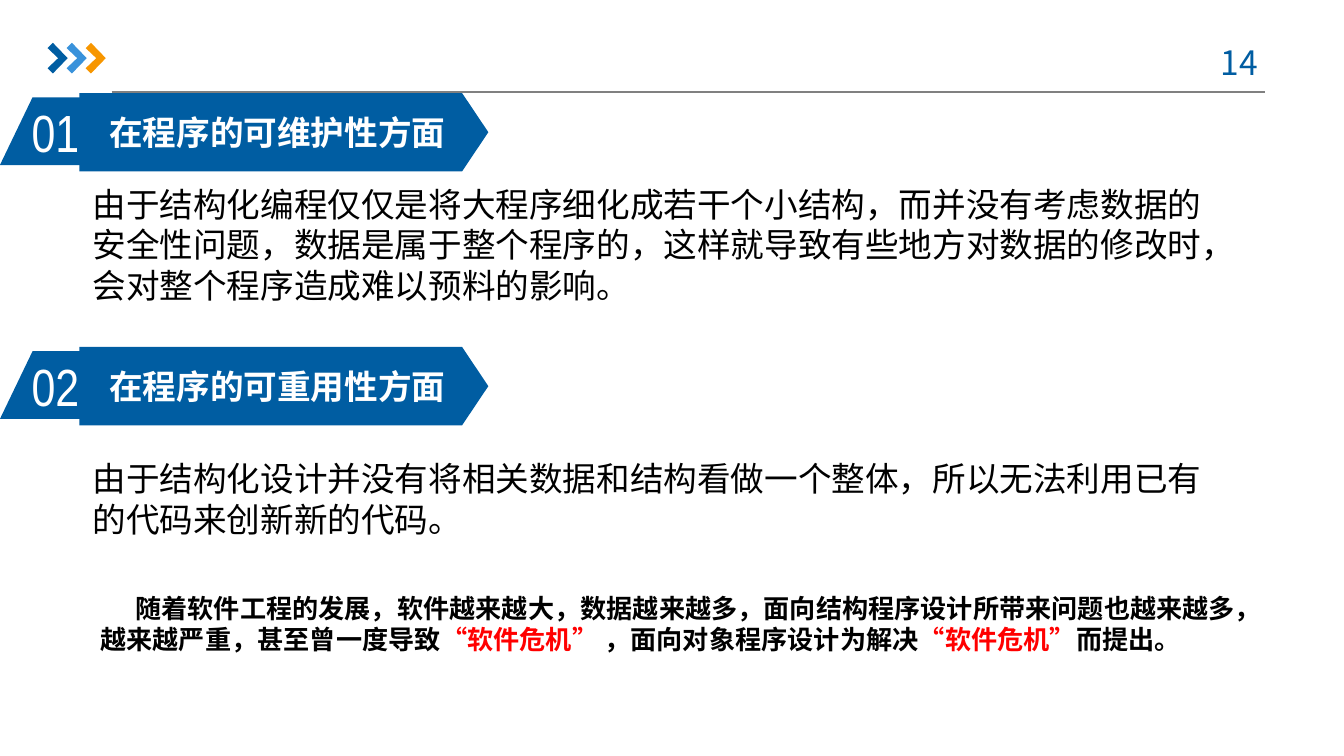
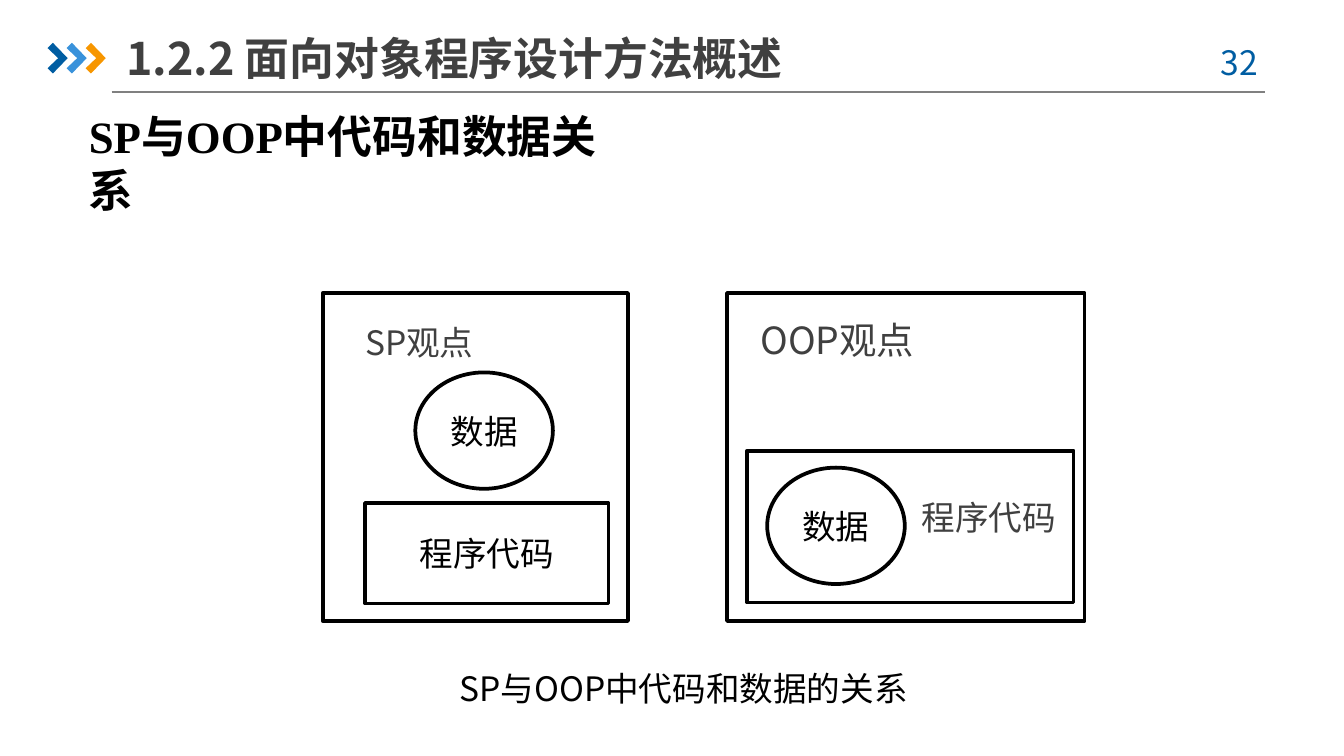
from lxml import etree
from pptx import Presentation
from pptx import util as u
from pptx.dml.color import RGBColor
from pptx.enum import shapes, text
from pptx.oxml.ns import qn

HUES = {"blue": "005DA2", "sky": "3992DB", "gold": "F79600", "rule": "808080",
        "gray": "404040", "black": "000000", "white": "FFFFFF", "red": "FF0000"}
SANS = "Noto Sans CJK SC"
KIND = shapes.MSO_SHAPE
MID = text.MSO_ANCHOR.MIDDLE
PAD = (0.25, 0.13)


def hue(name):
    return RGBColor.from_string(HUES[name])


def write(shape, runs, size, color="black", font=SANS, bold=False,
          center=False, anchor=text.MSO_ANCHOR.TOP, pad=PAD, indent=0):
    """Fill a shape with one paragraph; runs are (words, overrides) pairs."""
    frame = shape.text_frame
    frame.word_wrap = True
    frame.vertical_anchor = anchor
    frame.margin_left = frame.margin_right = u.Cm(pad[0])
    frame.margin_top = frame.margin_bottom = u.Cm(pad[1])
    para = frame.paragraphs[0]
    para.alignment = text.PP_ALIGN.CENTER if center else text.PP_ALIGN.LEFT
    if indent:
        para._p.get_or_add_pPr().set("indent", str(u.Cm(indent)))
    if isinstance(runs, str):
        runs = [(runs, {})]
    for words, style in runs:
        run = para.add_run()
        run.text = words
        run.font.size = u.Pt(size)
        run.font.bold = style.get("bold", bold)
        run.font.color.rgb = hue(style.get("color", color))
        run.font.name = style.get("font", font)
        east = etree.SubElement(run._r.get_or_add_rPr(), qn("a:ea"))
        east.set("typeface", SANS)


def label(slide, box, runs, size, **style):
    write(slide.shapes.add_textbox(*map(u.Cm, box)), runs, size, **style)


def paint(shape, fill=None, line=None):
    shape.shadow.inherit = False
    if fill:
        shape.fill.solid()
        shape.fill.fore_color.rgb = hue(fill)
    else:
        shape.fill.background()
    if line:
        shape.line.color.rgb = hue(line)
        shape.line.width = u.Pt(2)
    else:
        shape.line.fill.background()


def block(slide, kind, box, fill=None, line=None, adjust=None):
    shape = slide.shapes.add_shape(kind, *map(u.Cm, box))
    if adjust:
        shape.adjustments[0] = adjust
    paint(shape, fill, line)
    return shape


def outline(slide, kind, box, words=""):
    shape = block(slide, kind, box, line="black")
    if words:
        write(shape, words, 18, font="Calibri", center=True, anchor=MID)


# Shared header: rule, three chevrons, page number
def header(slide, page):
    rule = slide.shapes.add_connector(shapes.MSO_CONNECTOR.STRAIGHT,
                                      *map(u.Cm, (2.11, 1.74, 23.9, 1.74)))
    rule.line.color.rgb = hue("rule")
    rule.line.width = u.Pt(0.75)
    etree.SubElement(rule._element.spPr, qn("a:effectLst"))
    tip = [(0.1, 0), (0.38, 0.29), (0.1, 0.58), (0, 0.48), (0.2, 0.29)]
    for i, color in enumerate(("blue", "sky", "gold")):
        x, y = 0.9 + 0.36 * i, 0.81
        pen = slide.shapes.build_freeform(u.Cm(x), u.Cm(y + 0.1))
        pen.add_line_segments([(u.Cm(x + dx), u.Cm(y + dy)) for dx, dy in tip])
        paint(pen.convert_to_shape(), color)
    label(slide, (22.5, 0.67, 1.85, 1.02), page, 18, color="blue", center=True)


# Numbered heading with an arrow-shaped band
def banner(slide, y, number, title):
    band = block(slide, KIND.PENTAGON, (1.5, y, 7.73, 1.48), "blue", adjust=0.335)
    write(band, title, 18, "white", "Calibri", True, True, MID)
    block(slide, KIND.PARALLELOGRAM, (0, y + 0.08, 2.23, 1.28), "blue", adjust=0.482)
    label(slide, (0.35, y, 2.13, 1.45), number, 28, color="white",
          font="Arial Narrow")


# Slide with two drawbacks and a conclusion
def flaws(slide):
    header(slide, "14")
    label(slide, (1.5, 8.53, 21.6, 1.8),
          "由于结构化设计并没有将相关数据和结构看做一个整体，所以无法利用已有的代码来创新新的代码。",
          18, font="Arial")
    label(slide, (1.5, 3.35, 22, 2.57),
          "由于结构化编程仅仅是将大程序细化成若干个小结构，而并没有考虑数据的安全性问题，"
          "数据是属于整个程序的，这样就导致有些地方对数据的修改时，会对整个程序造成难以预料的影响。",
          18, font="Arial")
    banner(slide, 1.76, "01", "在程序的可维护性方面")
    banner(slide, 6.56, "02", "在程序的可重用性方面")
    crisis = ("“软件危机”", {"color": "red"})
    label(slide, (1.9, 11.2, 21.6, 1.2), [
        ("随着软件工程的发展，软件越来越大，数据越来越多，面向结构程序设计所带来问题也越来越多，"
         "越来越严重，甚至曾一度导致", {}),
        crisis, (" ，面向对象程序设计为解决", {}), crisis, ("而提出。", {}),
    ], 14, bold=True, pad=(0, 0), indent=0.66)


# SP view: data and code side by side in one frame
def split(slide, x, y):
    outline(slide, KIND.RECTANGLE, (x, y, 5.77, 6.2))
    outline(slide, KIND.RECTANGLE, (x + 0.8, y + 3.97, 4.6, 1.9), "程序代码")
    outline(slide, KIND.OVAL, (x + 1.75, y + 1.5, 2.6, 2.2), "数据")
    label(slide, (x + 0.55, y + 0.41, 2.9, 1.02), "SP观点", 18, color="gray")


# OOP view: data enclosed by code
def joined(slide, x, y):
    outline(slide, KIND.RECTANGLE, (x, y, 6.76, 6.2))
    outline(slide, KIND.RECTANGLE, (x + 0.38, y + 2.98, 6.17, 2.87))
    outline(slide, KIND.OVAL, (x + 0.76, y + 3.3, 2.6, 2.2), "数据")
    label(slide, (x + 0.38, y + 0.33, 3.89, 1.12), "OOP观点", 20, color="gray")
    label(slide, (x + 3.43, y + 3.73, 3.12, 1.02), "程序代码", 18,
          color="gray", font="Arial")


# Slide comparing the two views
def views(slide):
    header(slide, "32")
    serif = {"font": "Times New Roman"}
    label(slide, (1.68, 2.06, 10.44, 1.02),
          [("SP", serif), ("与", {}), ("OOP", serif), ("中代码和数据关系", {})],
          24, bold=True, pad=(0, 0))
    label(slide, (2.39, 0.56, 15.85, 1.07), "1.2.2 面向对象程序设计方法概述", 24,
          color="gray", bold=True, anchor=MID, pad=(0, 0.13))
    split(slide, 6.1, 5.54)
    joined(slide, 13.74, 5.54)
    label(slide, (8.36, 12.5, 9.12, 1.02), "SP与OOP中代码和数据的关系", 18,
          center=True, anchor=MID)


def main():
    deck = Presentation()
    deck.slide_width, deck.slide_height = u.Cm(25.4), u.Cm(14.29)
    for build in (flaws, views):
        build(deck.slides.add_slide(deck.slide_layouts[6]))
    deck.save("out.pptx")


if __name__ == "__main__":
    main()
